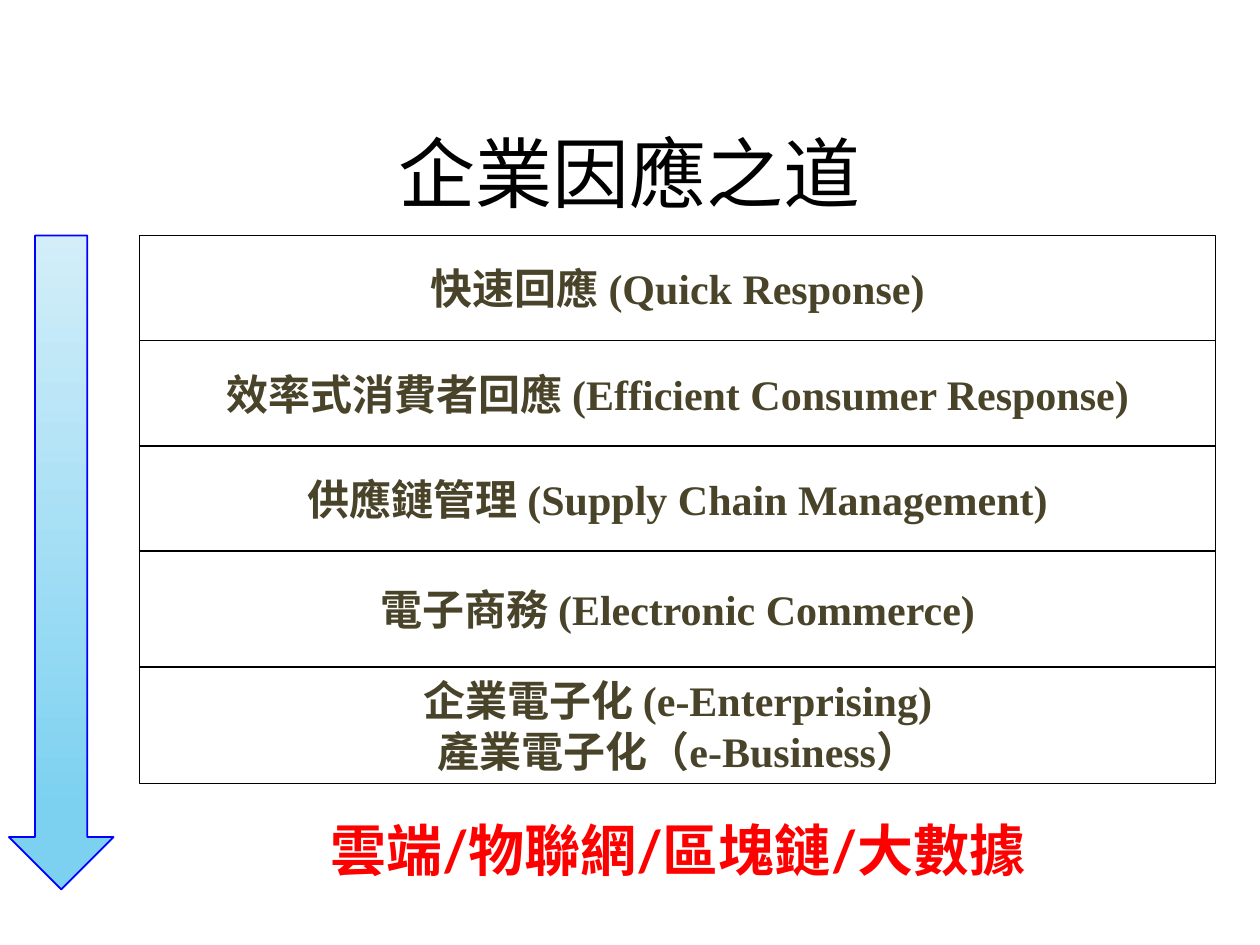
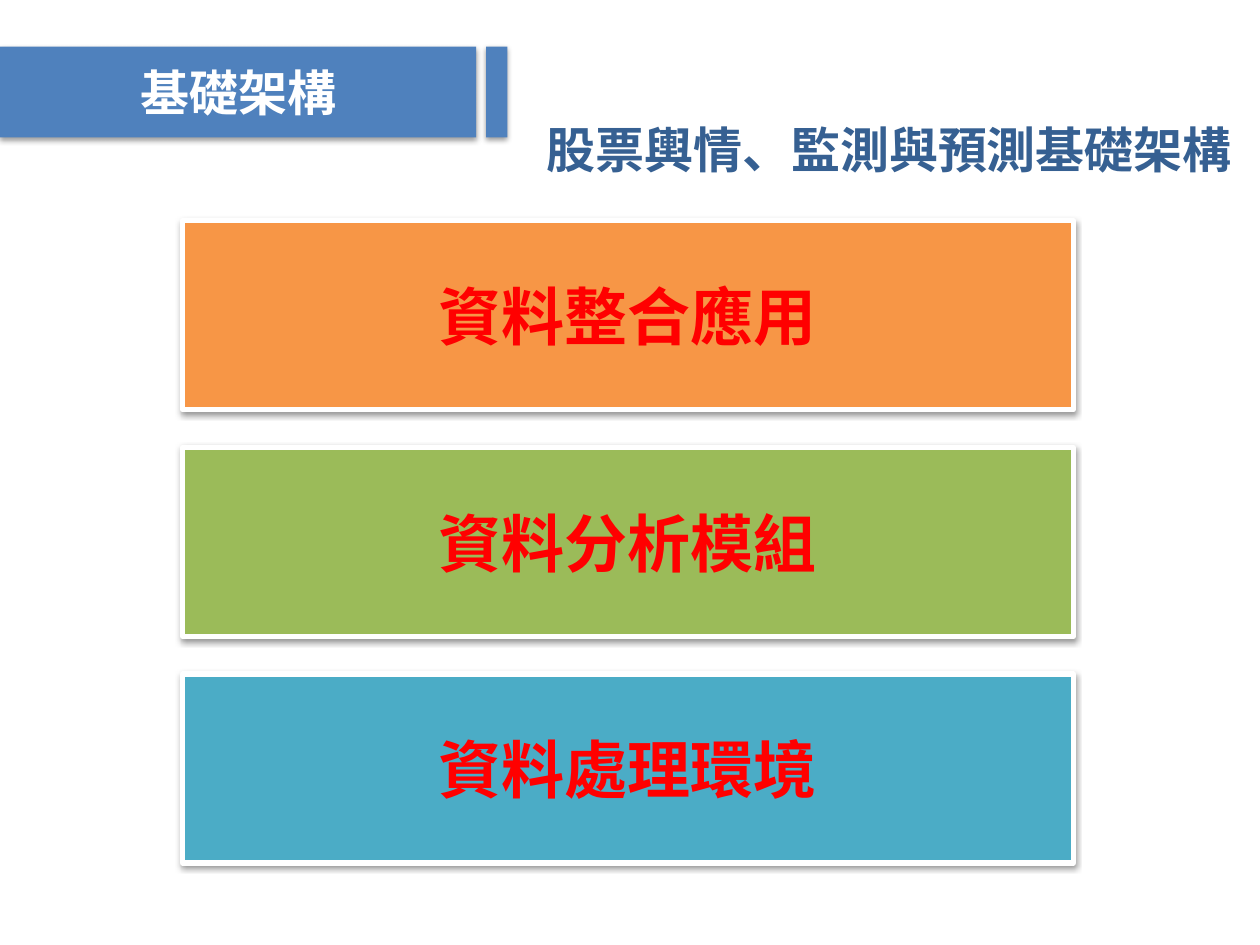
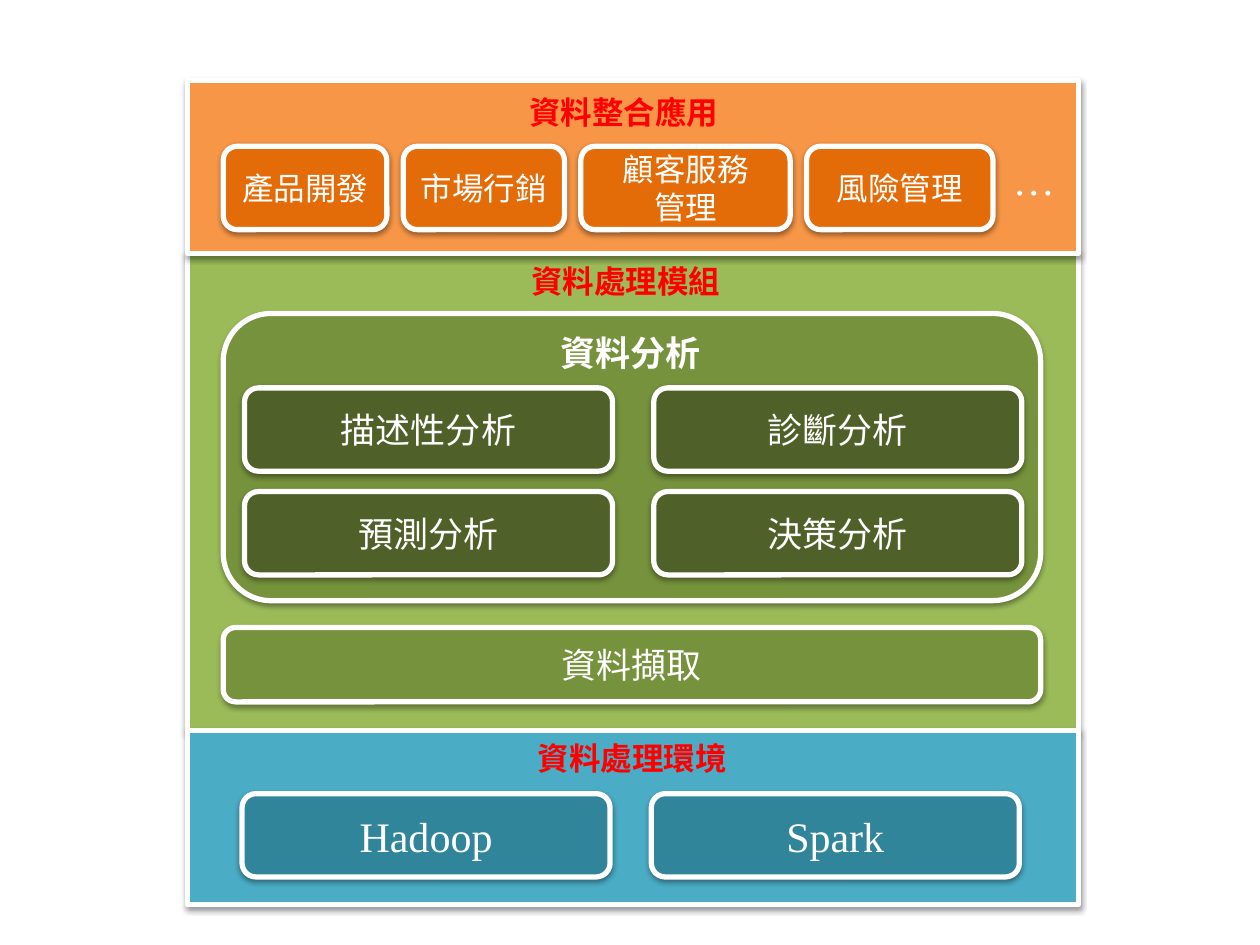
from dataclasses import dataclass
from typing import Optional

from lxml.etree import SubElement
from pptx import Presentation
from pptx.dml.color import RGBColor
from pptx.enum.shapes import MSO_SHAPE
from pptx.enum.text import MSO_ANCHOR, PP_ALIGN
from pptx.oxml.ns import qn
from pptx.util import Cm, Pt

WHITE, BLACK, RED = "FFFFFF", "000000", "FF0000"
OLIVE_TEXT, NAVY_TEXT = "494429", "366092"
BAND_BLUE, ARROW_LINE = "4F81BD", "0000FF"
ORANGE, DARK_ORANGE = "F79646", "E36C09"
GREEN, MID_GREEN, DARK_GREEN = "9BBB59", "76923C", "4F6128"
TEAL, DARK_TEAL = "4BACC6", "31859B"
SERIF = "Times New Roman"
SLIDE_WIDTH, SLIDE_HEIGHT = 25.4, 19.05


@dataclass(frozen=True)
class Area:
    """Left, top, width and height in centimetres."""
    left: float
    top: float
    width: float
    height: float

    def lengths(self) -> tuple:
        return Cm(self.left), Cm(self.top), Cm(self.width), Cm(self.height)


@dataclass(frozen=True)
class Span:
    text: str
    font: str = SERIF


@dataclass(frozen=True)
class Style:
    size: float
    color: str
    bold: bool = False
    align: PP_ALIGN = PP_ALIGN.CENTER
    anchor: MSO_ANCHOR = MSO_ANCHOR.TOP


@dataclass(frozen=True)
class Look:
    fill: Optional[str] = None
    line: Optional[str] = WHITE
    weight: float = 3
    shadow: bool = True
    kind: MSO_SHAPE = MSO_SHAPE.RECTANGLE


def rgb(color: str) -> RGBColor:
    return RGBColor.from_string(color)


def write(shape, lines: list, style: Style) -> None:
    """Fill a shape with paragraphs, each given as a list of spans."""
    frame = shape.text_frame
    frame.word_wrap = True
    frame.vertical_anchor = style.anchor
    for index, spans in enumerate(lines):
        para = frame.paragraphs[0] if index == 0 else frame.add_paragraph()
        para.alignment = style.align
        for span in spans:
            run = para.add_run()
            run.text = span.text
            values = {"name": span.font, "size": Pt(style.size), "bold": style.bold}
            for name, value in values.items():
                setattr(run.font, name, value)
            run.font.color.rgb = rgb(style.color)


def add_label(page, area: Area, text: str, style: Style, font: str = SERIF) -> None:
    write(page.shapes.add_textbox(*area.lengths()), [[Span(text, font)]], style)


def add_shadow(shape) -> None:
    effects = shape._element.spPr.find(qn("a:effectLst"))
    shadow = SubElement(effects, qn("a:outerShdw"), blurRad="40000", dist="20000",
                        dir="5400000", rotWithShape="0")
    color = SubElement(shadow, qn("a:srgbClr"), val=BLACK)
    SubElement(color, qn("a:alpha"), val="38000")


def add_block(page, area: Area, look: Look):
    block = page.shapes.add_shape(look.kind, *area.lengths())
    block.shadow.inherit = False
    if look.fill:
        block.fill.solid()
        block.fill.fore_color.rgb = rgb(look.fill)
    else:
        block.fill.background()
    if look.line:
        block.line.color.rgb = rgb(look.line)
        block.line.width = Pt(look.weight)
    else:
        block.line.fill.background()
    if look.shadow:
        add_shadow(block)
    return block


def add_card(page, area: Area, fill: str, size: float, *lines: str) -> None:
    card = add_block(page, area, Look(fill, kind=MSO_SHAPE.ROUNDED_RECTANGLE))
    style = Style(size, WHITE, anchor=MSO_ANCHOR.MIDDLE)
    write(card, [[Span(line)] for line in lines], style)


def build_responses(page) -> None:
    add_label(page, Area(0, 2.34, SLIDE_WIDTH, 2.26), "企業因應之道",
              Style(44, BLACK, anchor=MSO_ANCHOR.MIDDLE))
    left, top, width = 2.82, 4.75, 21.69
    rows = [
        (2.12, [[Span("快速回應 (Quick Response)")]]),
        (2.12, [[Span("效率式消費者回應 ", "Roboto"),
                 Span("(Efficient Consumer Response)")]]),
        (2.12, [[Span("供應鏈管理 (Supply Chain Management)")]]),
        (2.34, [[Span("電子商務 (Electronic Commerce)")]]),
        (2.34, [[Span("企業電子化 (e-Enterprising)")],
                [Span("產業電子化（e-Business）")]]),
    ]
    row_look = Look(line=BLACK, weight=0.75, shadow=False)
    row_style = Style(24, OLIVE_TEXT, True, anchor=MSO_ANCHOR.MIDDLE)
    row_top = top
    for height, lines in rows:
        row = add_block(page, Area(left, row_top, width, height), row_look)
        write(row, lines, row_style)
        row_top += height
    add_label(page, Area(left, 16.31, width, 1.6), "雲端/物聯網/區塊鏈/大數據",
              Style(32, RED, True), "Lato")

    arrow = add_block(page, Area(0.18, top, 2.11, 13.18),
                      Look(line=ARROW_LINE, weight=1, shadow=False,
                           kind=MSO_SHAPE.DOWN_ARROW))
    arrow.fill.gradient()
    arrow.fill.gradient_angle = 270
    stops = [(0, "D3EEF9"), (0.88, "7CD1F1")]
    for stop, (position, color) in zip(arrow.fill.gradient_stops, stops):
        stop.position = position
        stop.color.rgb = rgb(color)


def build_foundation(page) -> None:
    band = Look(BAND_BLUE, line=None)
    for left, width in [(0, 9.6), (9.8, 0.43)]:
        add_block(page, Area(left, 0.94, width, 1.83), band)
    add_label(page, Area(0, 1.14, 9.6, 1.45), "基礎架構", Style(28, WHITE, True))
    add_label(page, Area(10.77, 2.29, 14.63, 1.47), "股票輿情、監測與預測基礎架構",
              Style(28, NAVY_TEXT, True, PP_ALIGN.LEFT), "Arial")

    layers = [("資料整合應用", ORANGE), ("資料分析模組", GREEN), ("資料處理環境", TEAL)]
    left, width, pitch = 3.68, 17.96, 4.57
    for index, (name, fill) in enumerate(layers):
        top = 4.45 + index * pitch
        add_block(page, Area(left, top, width, 3.81), Look(fill))
        add_label(page, Area(left, top + 1.02, width, 1.8), name, Style(36, RED, True))


def build_architecture(page) -> None:
    layers = [
        (5.11, 9.63, GREEN, "資料處理模組", 9.75, 5.16),
        (14.73, 3.51, TEAL, "資料處理環境", 9.88, 14.78),
        (1.63, 3.48, ORANGE, "資料整合應用", 9.7, 1.75),
    ]
    for top, height, fill, name, label_left, label_top in layers:
        add_block(page, Area(3.78, top, 17.96, height), Look(fill))
        add_label(page, Area(label_left, label_top, 5.74, 1.02), name,
                  Style(18, RED, True))

    inner_left, inner_width = 4.5, 16.48
    add_card(page, Area(inner_left, 6.32, inner_width, 5.79), MID_GREEN, 20)
    add_label(page, Area(8.1, 6.55, 9.22, 1.12), "資料分析", Style(20, WHITE, True))
    add_card(page, Area(inner_left, 12.65, inner_width, 1.5), MID_GREEN, 20, "資料擷取")

    card_width, card_height, column_pitch, row_pitch = 7.42, 1.68, 8.25, 2.09
    analyses = ["描述性分析", "診斷分析", "預測分析", "決策分析"]
    for index, name in enumerate(analyses):
        row, column = divmod(index, 2)
        area = Area(4.93 + column * column_pitch, 7.82 + row * row_pitch,
                    card_width, card_height)
        add_card(page, area, DARK_GREEN, 20, name)
    for column, name in enumerate(["Hadoop", "Spark"]):
        area = Area(4.88 + column * column_pitch, 16, card_width, card_height)
        add_card(page, area, DARK_TEAL, 24, name)

    applications = [(3.3, ["產品開發"]), (3.25, ["市場行銷"]),
                    (4.22, ["顧客服務", "管理"]), (3.76, ["風險管理"])]
    left, gap = inner_left, 0.33
    for width, lines in applications:
        add_card(page, Area(left, 2.95, width, card_height), DARK_ORANGE, 18, *lines)
        left += width + gap
    add_label(page, Area(20.17, 2.97, 1.37, 1.27), "…",
              Style(24, WHITE, align=PP_ALIGN.LEFT))


def main() -> None:
    deck = Presentation()
    deck.slide_width, deck.slide_height = Cm(SLIDE_WIDTH), Cm(SLIDE_HEIGHT)
    blank = deck.slide_layouts[6]
    for build in (build_responses, build_foundation, build_architecture):
        build(deck.slides.add_slide(blank))
    deck.save("out.pptx")


if __name__ == "__main__":
    main()
